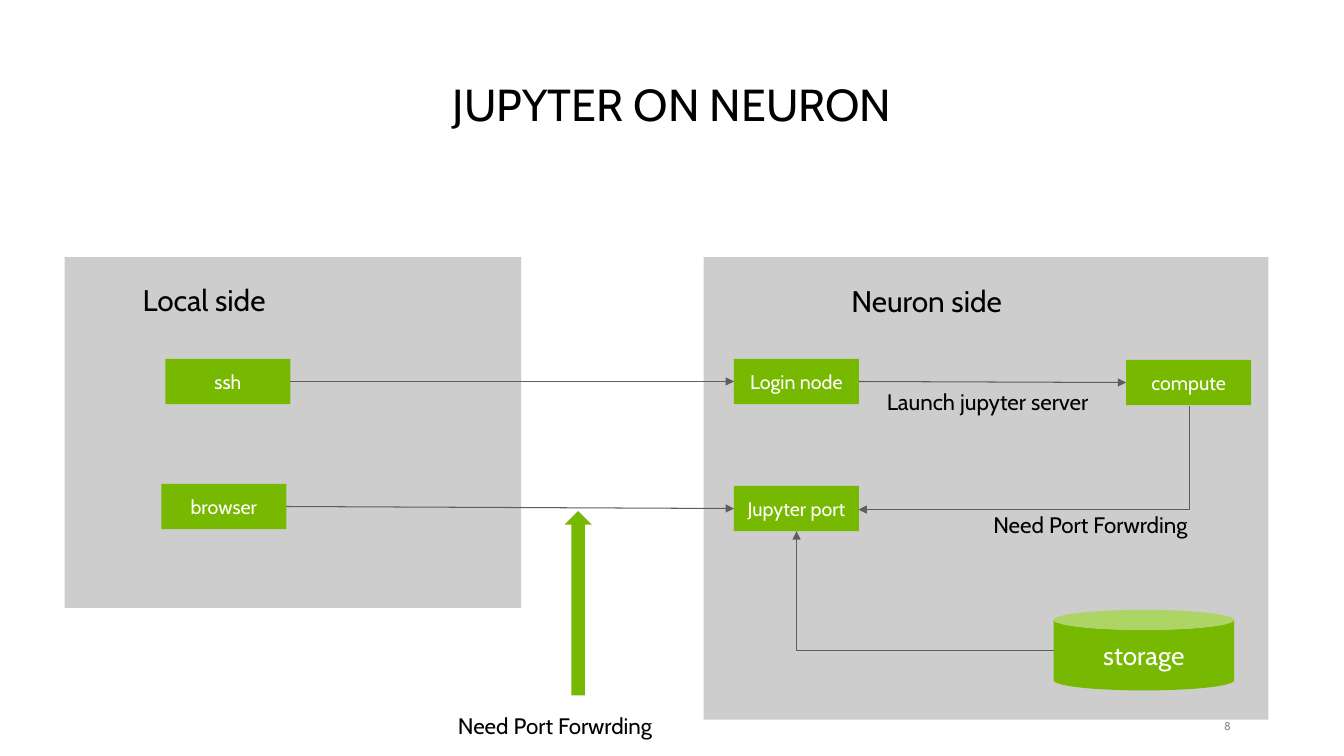
from dataclasses import dataclass

from lxml import etree
from pptx import Presentation
from pptx import util as u
from pptx.dml.color import RGBColor
from pptx.enum import shapes, text
from pptx.oxml.ns import qn


@dataclass(frozen=True)
class Theme:
    font: str = "Cabin"
    black: str = "000000"
    white: str = "FFFFFF"
    panel: str = "CDCDCD"
    green: str = "76B900"
    line: str = "5E5E5E"
    muted: str = "8C8C8C"
    title: float = 32
    heading: float = 21.3
    storage: float = 18.7
    label: float = 16
    node: float = 14
    number: float = 8
    line_width: float = 0.75


@dataclass(frozen=True)
class Block:
    left: float
    top: float
    width: float
    height: float
    fill: str
    words: str = ""
    size: float = 0
    kind: int = shapes.MSO_SHAPE.RECTANGLE


@dataclass(frozen=True)
class Label:
    words: str
    left: float
    top: float
    width: float
    height: float
    size: float


@dataclass(frozen=True)
class Elbow:
    left: float
    top: float
    width: float
    height: float
    degrees: int


T = Theme()
NODE_W, NODE_H = 1.24, 0.45
RIGHT, LEFT = 3, 1

PANELS = [
    Block(0.64, 2.55, 4.53, 3.48, T.panel),
    Block(6.98, 2.55, 5.6, 4.59, T.panel),
]
NODES = [
    Block(left, top, NODE_W, NODE_H, T.green, words, T.node)
    for words, left, top in [
        ("ssh", 1.64, 3.56),
        ("Login node", 7.28, 3.56),
        ("browser", 1.6, 4.8),
        ("Jupyter port", 7.28, 4.82),
        ("compute", 11.17, 3.57),
    ]
]
LINKS = [("browser", "Jupyter port"), ("ssh", "Login node"), ("Login node", "compute")]
ELBOWS = [Elbow(9.64, 2.9, 1.03, 3.28, 90), Elbow(7.9, 5.27, 2.56, 1.18, 180)]
STORAGE = Block(10.45, 6.05, 1.79, 0.8, T.green, "storage", T.storage, shapes.MSO_SHAPE.CAN)
UP_ARROW = Block(5.6, 5.07, 0.27, 1.83, T.green, kind=shapes.MSO_SHAPE.UP_ARROW)
LABELS = [
    Label("Local side", 1.26, 2.78, 1.53, 0.42, T.heading),
    Label("Neuron side", 8.3, 2.79, 1.78, 0.42, T.heading),
    Label("Need Port Forwrding", 4.38, 7.04, 2.25, 0.34, T.label),
    Label("Launch jupyter server", 8.59, 3.83, 2.41, 0.34, T.label),
    Label("Need Port Forwrding", 9.69, 5.05, 2.25, 0.34, T.label),
]


def inches(*values: float) -> list:
    return [u.Inches(v) for v in values]


def write(tf, words: str, size: float, color: str,
          align=text.PP_ALIGN.CENTER, spacing: float = 1.0) -> None:
    tf.text = words
    p = tf.paragraphs[0]
    p.alignment = align
    p.line_spacing = spacing
    r = p.runs[0]
    r.font.name = T.font
    r.font.size = u.Pt(size)
    r.font.color.rgb = RGBColor.from_string(color)


def add_block(s, b: Block):
    sp = s.shapes.add_shape(b.kind, *inches(b.left, b.top, b.width, b.height))
    sp.shadow.inherit = False
    sp.fill.solid()
    sp.fill.fore_color.rgb = RGBColor.from_string(b.fill)
    sp.line.fill.background()
    if b.words:
        tf = sp.text_frame
        tf.margin_left = tf.margin_right = u.Inches(0.05)
        tf.vertical_anchor = text.MSO_ANCHOR.MIDDLE
        write(tf, b.words, b.size, T.white)
    return sp


def add_label(s, b: Label) -> None:
    tf = s.shapes.add_textbox(*inches(b.left, b.top, b.width, b.height)).text_frame
    tf.word_wrap = False
    tf.vertical_anchor = text.MSO_ANCHOR.MIDDLE
    write(tf, b.words, b.size, T.black, spacing=0.9)


def style_arrow(c) -> None:
    c.line.color.rgb = RGBColor.from_string(T.line)
    c.line.width = u.Pt(T.line_width)
    etree.SubElement(c.line._get_or_add_ln(), qn("a:tailEnd"), type="triangle")
    etree.SubElement(c._element.spPr, qn("a:effectLst"))


def add_link(s, start, end) -> None:
    c = s.shapes.add_connector(shapes.MSO_CONNECTOR.STRAIGHT, 0, 0, 0, 0)
    c.begin_connect(start, RIGHT)
    c.end_connect(end, LEFT)
    style_arrow(c)


def add_elbow(s, e: Elbow) -> None:
    c = s.shapes.add_connector(
        shapes.MSO_CONNECTOR.ELBOW,
        *inches(e.left, e.top, e.left + e.width, e.top + e.height))
    spPr = c._element.spPr
    spPr.find(qn("a:prstGeom")).set("prst", "bentConnector2")
    spPr.find(qn("a:xfrm")).set("rot", str(e.degrees * 60000))
    style_arrow(c)


def add_title(s, words: str) -> None:
    sp = s.shapes.title
    sp.left, sp.top, sp.width, sp.height = inches(0.61, 0.63, 12.12, 0.72)
    tf = sp.text_frame
    tf.auto_size = text.MSO_AUTO_SIZE.NONE
    tf.vertical_anchor = text.MSO_ANCHOR.BOTTOM
    write(tf, words, T.title, T.black, spacing=0.9)


def add_number(s, words: str) -> None:
    tf = s.shapes.add_textbox(*inches(11.85, 7.14, 0.36, 0.13)).text_frame
    tf.margin_left = tf.margin_top = tf.margin_right = tf.margin_bottom = 0
    tf.vertical_anchor = text.MSO_ANCHOR.MIDDLE
    write(tf, words, T.number, T.muted, text.PP_ALIGN.RIGHT)


def main() -> None:
    prs = Presentation()
    prs.slide_width, prs.slide_height = inches(13.33, 7.5)
    s = prs.slides.add_slide(prs.slide_layouts[5])
    add_title(s, "JUPYTER ON NEURON")
    add_number(s, "8")
    for panel in PANELS:
        add_block(s, panel)
    nodes = {node.words: add_block(s, node) for node in NODES}
    for start, end in LINKS:
        add_link(s, nodes[start], nodes[end])
    for elbow in ELBOWS:
        add_elbow(s, elbow)
    add_block(s, STORAGE)
    add_block(s, UP_ARROW)
    for label in LABELS:
        add_label(s, label)
    prs.save("out.pptx")


if __name__ == "__main__":
    main()
